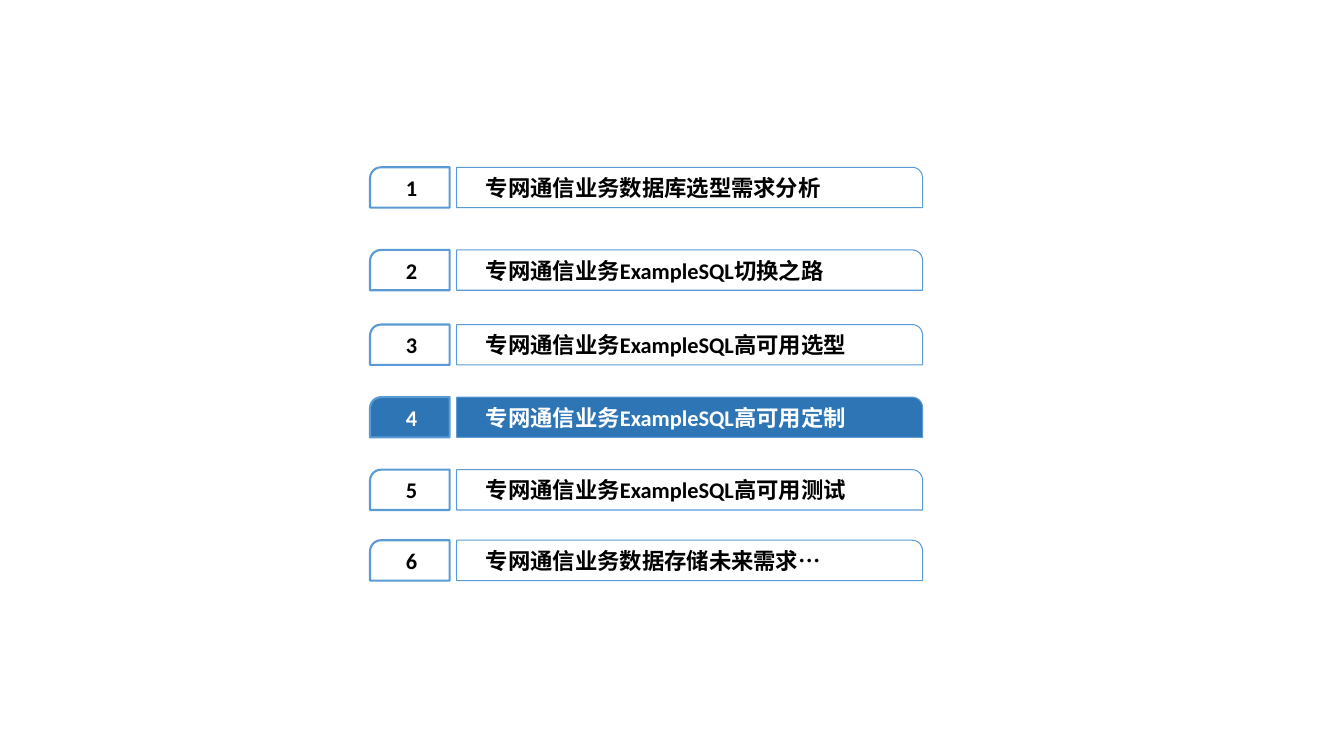
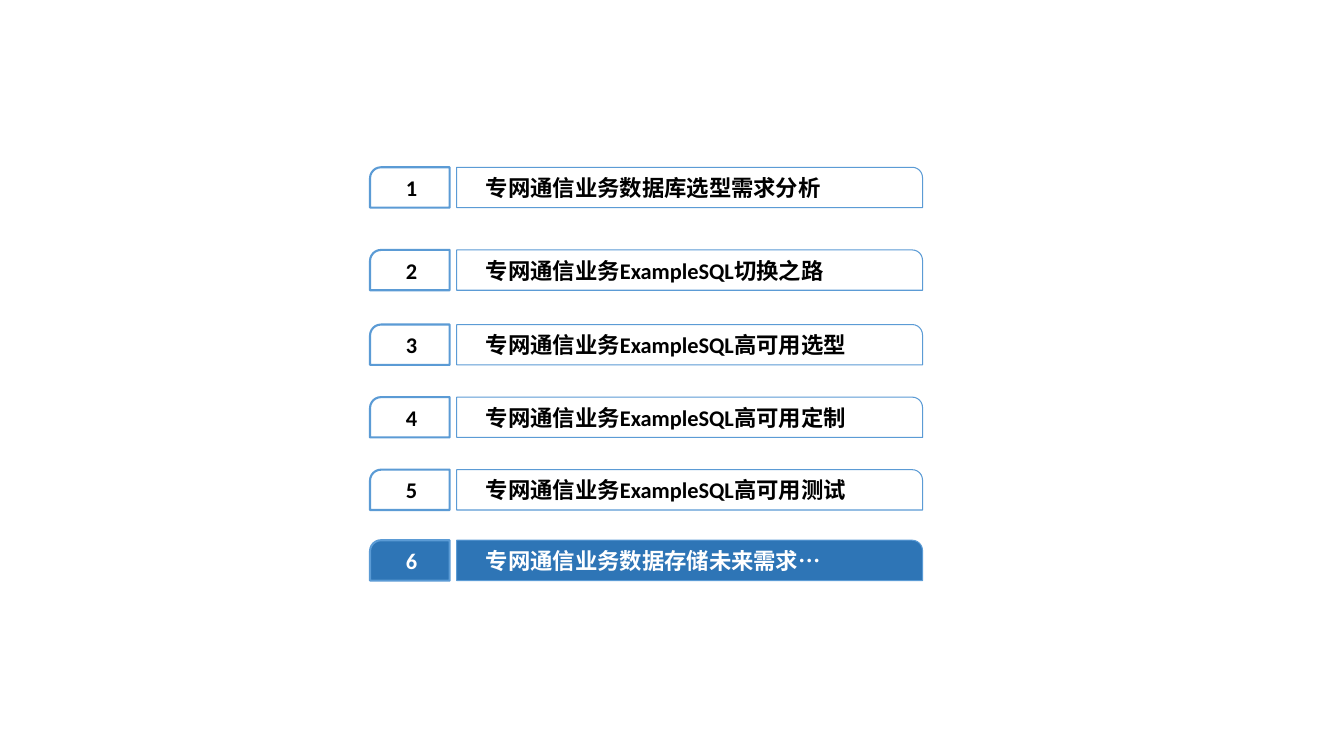
from pptx import Presentation
from pptx.dml.color import RGBColor
from pptx.enum import lang, shapes, text
from pptx.util import Inches, Pt

# Shared look
BLUE, LINE, WHITE, BLACK = "2E75B6", "5B9BD5", "FFFFFF", "000000"
FONT = {
    "name": "Calibri",
    "size": Pt(16),
    "bold": True,
    "language_id": lang.MSO_LANGUAGE_ID.SIMPLIFIED_CHINESE,
}
BAR_HEIGHT = 0.4
TITLE_BAR = {"left": 4.53, "width": 4.62, "corner": 0.255, "line": 0.75}
NUMBER_BAR = {"left": 3.67, "width": 0.79, "corner": 0.271, "line": 1.5}

# Agenda: top edge and title of each chapter
CHAPTERS = [
    (1.66, "专网通信业务数据库选型需求分析"),
    (2.48, "专网通信业务ExampleSQL切换之路"),
    (3.22, "专网通信业务ExampleSQL高可用选型"),
    (3.94, "专网通信业务ExampleSQL高可用定制"),
    (4.66, "专网通信业务ExampleSQL高可用测试"),
    (5.36, "专网通信业务数据存储未来需求…"),
]
CURRENT_CHAPTERS = [4, 6]


def color(value):
    return RGBColor.from_string(value)


def add_bar(page, style, top, words, active):
    """Draw a bar with one rounded corner and return it."""
    bar = page.shapes.add_shape(
        shapes.MSO_SHAPE.ROUND_1_RECTANGLE,
        Inches(style["left"]), Inches(top),
        Inches(style["width"]), Inches(BAR_HEIGHT))
    bar.adjustments[0] = style["corner"]
    bar.shadow.inherit = False
    bar.fill.solid()
    bar.fill.fore_color.rgb = color(BLUE if active else WHITE)
    bar.line.color.rgb = color(LINE)
    bar.line.width = Pt(style["line"])
    bar.text_frame.word_wrap = True
    bar.text_frame.vertical_anchor = text.MSO_ANCHOR.MIDDLE
    span = bar.text_frame.paragraphs[0].add_run()
    span.text = words
    for name, value in FONT.items():
        setattr(span.font, name, value)
    span.font.color.rgb = color(WHITE if active else BLACK)
    return bar


deck = Presentation()
deck.slide_width, deck.slide_height = Inches(13.33), Inches(7.5)

# One agenda page per current chapter
for current in CURRENT_CHAPTERS:
    page = deck.slides.add_slide(deck.slide_layouts[6])
    for number, (top, title) in enumerate(CHAPTERS, start=1):
        active = number == current

        # Title, indented from the left edge
        title_bar = add_bar(page, TITLE_BAR, top, title, active)
        para = title_bar.text_frame.paragraphs[0]
        para.alignment = text.PP_ALIGN.LEFT
        para._p.get_or_add_pPr().set("marL", str(Inches(0.19)))

        # Number, mirrored so the round corner is on the left
        number_bar = add_bar(page, NUMBER_BAR, top, str(number), active)
        number_bar.text_frame.paragraphs[0].alignment = text.PP_ALIGN.CENTER
        number_bar.element.spPr.xfrm.set("flipH", "1")

deck.save("out.pptx")
